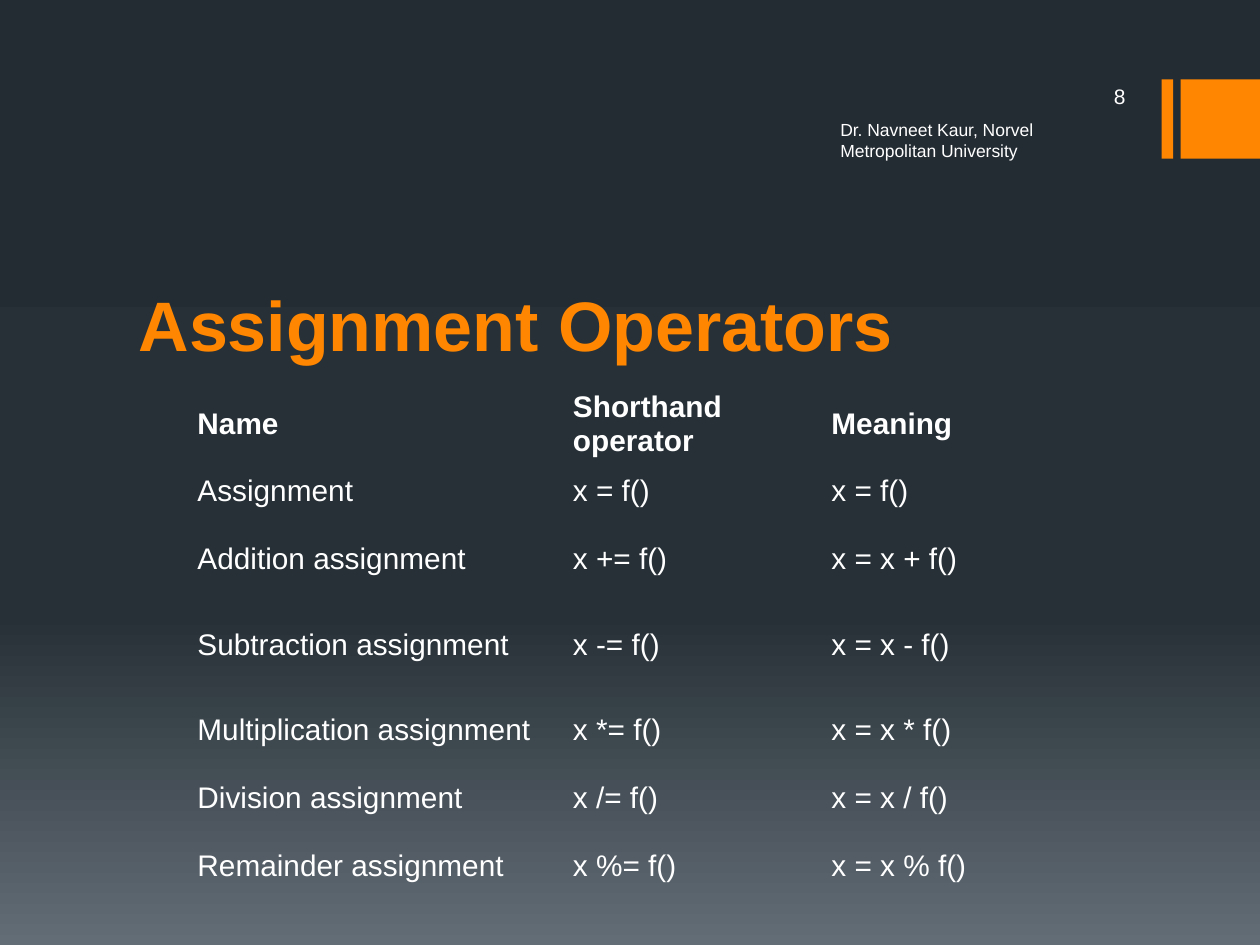
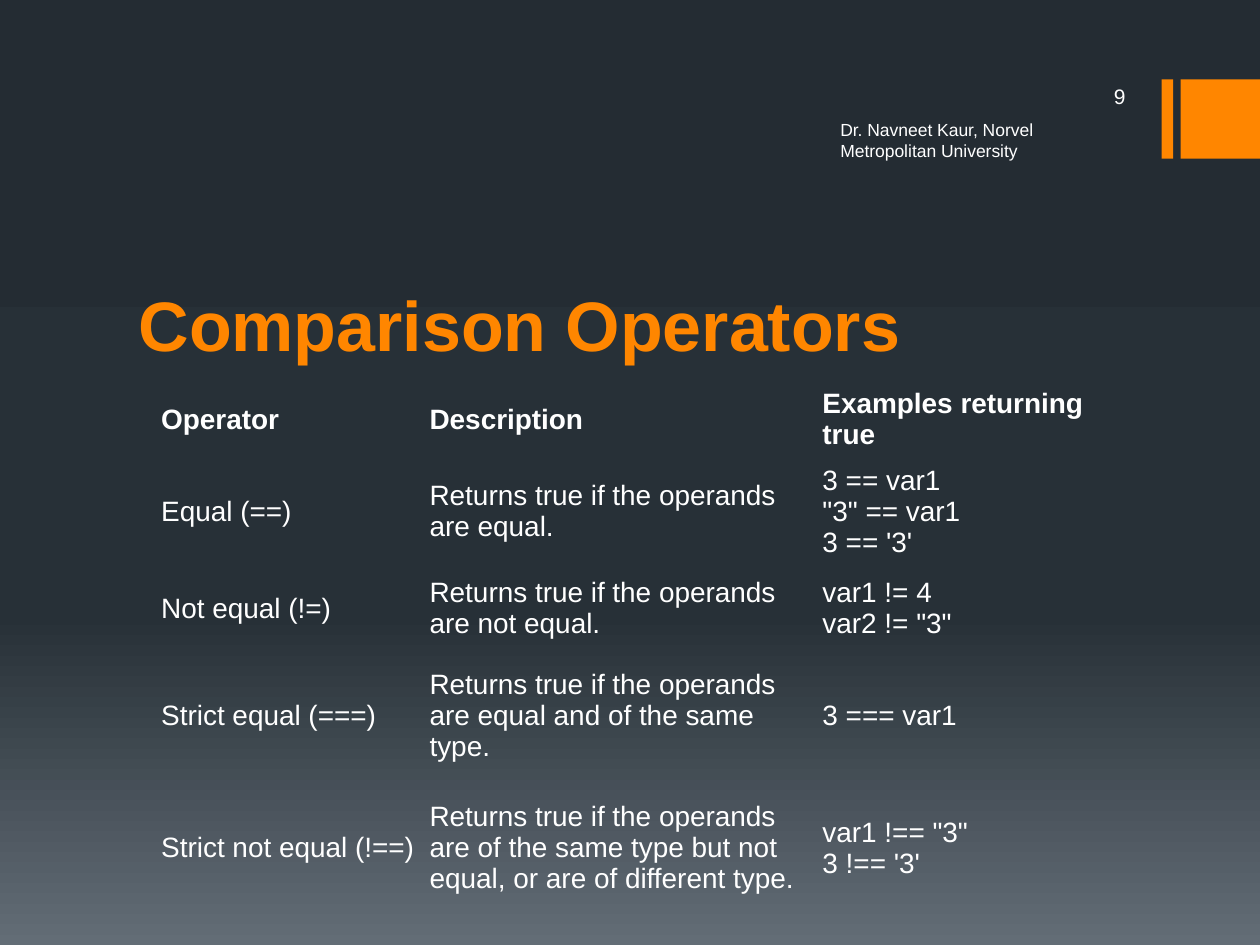
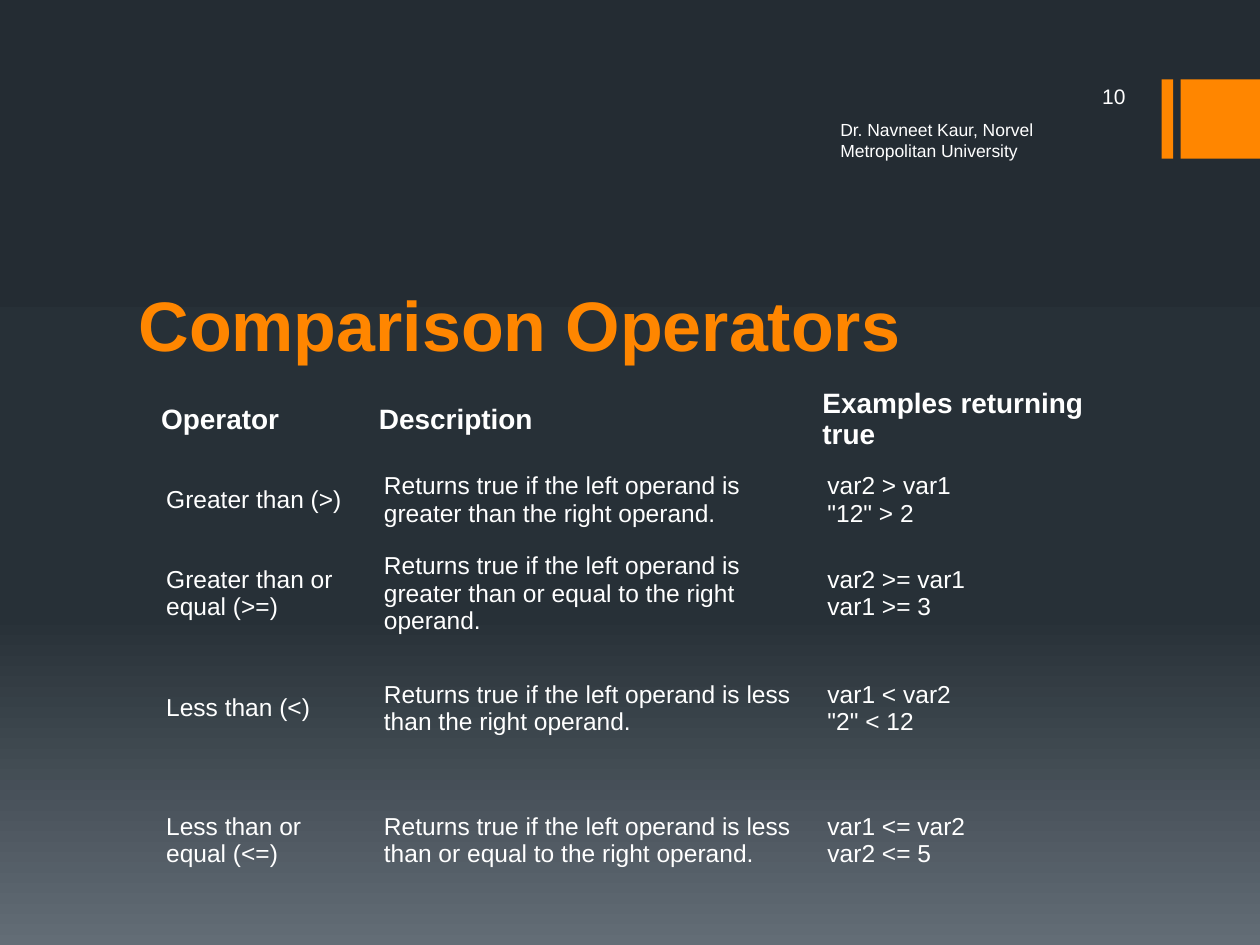
from lxml import etree
from pptx import Presentation
from pptx.dml.color import RGBColor
from pptx.enum.shapes import MSO_SHAPE
from pptx.enum.text import MSO_ANCHOR, MSO_AUTO_SIZE, PP_ALIGN
from pptx.oxml.ns import qn
from pptx.util import Cm, Pt

RECT = MSO_SHAPE.RECTANGLE
TOP, MIDDLE, BOTTOM = MSO_ANCHOR.TOP, MSO_ANCHOR.MIDDLE, MSO_ANCHOR.BOTTOM
LEFT, RIGHT = PP_ALIGN.LEFT, PP_ALIGN.RIGHT
NO_FIT = MSO_AUTO_SIZE.NONE

COLORS = {"accent": "FF8600", "text": "FFFFFF"}
BACKGROUND = [(0, "242C33"), (65, "273037"), (100, "636D76")]
PLAIN_TABLE = "{2D5ABB26-0587-4C30-8999-92F81FD0307C}"
FOOTER = "Dr. Navneet Kaur, Norvel Metropolitan University"
BARS = [(23.42, 0.23), (23.8, 1.6)]
WIDE, NARROW = (0.25, 0.13), (0.15, 0.08)

SLIDES = [
    {
        "title": "Assignment Operators",
        "left": 3.73,
        "cols": [7.57, 5.21, 5.16],
        "heights": [1, 1, 1.73, 1.73, 1.73, 1, 1.73],
        "head": (17, WIDE),
        "body": (17, WIDE),
        "rows": [
            ("Name", "Shorthand operator", "Meaning"),
            ("Assignment", "x = f()", "x = f()"),
            ("Addition assignment", "x += f()", "x = x + f()"),
            ("Subtraction assignment", "x -= f()", "x = x - f()"),
            ("Multiplication assignment", "x *= f()", "x = x * f()"),
            ("Division assignment", "x /= f()", "x = x / f()"),
            ("Remainder assignment", "x %= f()", "x = x % f()"),
        ],
    },
    {
        "title": "Comparison Operators",
        "left": 3.1,
        "cols": [5.41, 7.92, 6.65],
        "heights": [1.19, 1.73, 1.73, 2.59, 2.74],
        "head": (16, NARROW),
        "body": (16, NARROW),
        "rows": [
            ("Operator", "Description", "Examples returning true"),
            ("Equal (==)", "Returns true if the operands are equal.",
             "3 == var1\n\"3\" == var1\n3 == '3'"),
            ("Not equal (!=)", "Returns true if the operands are not equal.",
             "var1 != 4\vvar2 != \"3\""),
            ("Strict equal (===)",
             "Returns true if the operands are equal and of the same type.",
             "3 === var1"),
            ("Strict not equal (!==)",
             "Returns true if the operands are of the same type but not equal, "
             "or are of different type.",
             "var1 !== \"3\"\v3 !== '3'"),
        ],
    },
    {
        "title": "Comparison Operators",
        "left": 3.1,
        "cols": [4.39, 8.94, 6.65],
        "heights": [1.19, 1.73, 1.73, 2.59, 2.74],
        "head": (16, NARROW),
        "body": (14, WIDE),
        "rows": [
            ("Operator", "Description", "Examples returning true"),
            ("Greater than (>)",
             "Returns true if the left operand is greater than the right operand.",
             "var2 > var1\v\"12\" > 2"),
            ("Greater than or equal (>=)",
             "Returns true if the left operand is greater than or equal to the right operand.",
             "var2 >= var1\vvar1 >= 3"),
            ("Less than (<)",
             "Returns true if the left operand is less than the right operand.",
             "var1 < var2\v\"2\" < 12"),
            ("Less than or equal (<=)",
             "Returns true if the left operand is less than or equal to the right operand.",
             "var1 <= var2\vvar2 <= 5"),
        ],
    },
]


def write(tf, text, size, color="text", bold=False, align=LEFT):
    tf.text = text
    for p in tf.paragraphs:
        p.alignment = align
        for r in p.runs:
            r.font.name = "Arial"
            r.font.size = Pt(size)
            r.font.bold = bold
            r.font.color.rgb = RGBColor.from_string(COLORS[color])


prs = Presentation()
prs.slide_width, prs.slide_height = Cm(25.4), Cm(19.05)

master = prs.slide_master
fill = master.background.fill
fill.gradient()
fill.gradient_angle = 270
stops = next(master.element.iter(qn("a:gsLst")))
for gs in list(stops):
    stops.remove(gs)
for percent, color in BACKGROUND:
    gs = etree.SubElement(stops, qn("a:gs"), pos=str(percent * 1000))
    etree.SubElement(gs, qn("a:srgbClr"), val=color)

for number, page in enumerate(SLIDES, start=8):
    s = prs.slides.add_slide(prs.slide_layouts[5])

    for left, width in BARS:
        sp = s.shapes.add_shape(RECT, Cm(left), Cm(1.6), Cm(width), Cm(1.6))
        sp.shadow.inherit = False
        sp.fill.solid()
        sp.fill.fore_color.rgb = RGBColor.from_string(COLORS["accent"])
        sp.line.fill.background()

    title = s.shapes.title
    title.left, title.top = Cm(2.54), Cm(4.29)
    title.width, title.height = Cm(20.32), Cm(3.2)
    tf = title.text_frame
    tf.auto_size = NO_FIT
    tf.vertical_anchor = BOTTOM
    write(tf, page["title"], 40, "accent", True)

    for text, left, top, width, size, anchor, align, inset in [
        (FOOTER, 16.69, 2.39, 6.25, 10, TOP, LEFT, 0),
        (str(number), 20.32, 1.52, 2.62, 12, MIDDLE, RIGHT, 0.13),
    ]:
        tf = s.shapes.add_textbox(Cm(left), Cm(top), Cm(width), Cm(0.84)).text_frame
        tf.word_wrap = True
        tf.vertical_anchor = anchor
        tf.margin_top = Cm(inset)
        write(tf, text, size, align=align)

    rows, cols, heights = page["rows"], page["cols"], page["heights"]
    table = s.shapes.add_table(len(rows), len(cols), Cm(page["left"]), Cm(7.7),
                               Cm(sum(cols)), Cm(sum(heights))).table
    next(table._tbl.iter(qn("a:tableStyleId"))).text = PLAIN_TABLE
    table.horz_banding = False
    for column, width in zip(table.columns, cols):
        column.width = Cm(width)
    for i, (row, height, texts) in enumerate(zip(table.rows, heights, rows)):
        row.height = Cm(height)
        size, (side, edge) = page["body"] if i else page["head"]
        for cell, text in zip(row.cells, texts):
            cell.fill.background()
            cell.vertical_anchor = MIDDLE
            cell.margin_left = cell.margin_right = Cm(side)
            cell.margin_top = cell.margin_bottom = Cm(edge)
            write(cell.text_frame, text, size, bold=i == 0)

prs.save("out.pptx")
